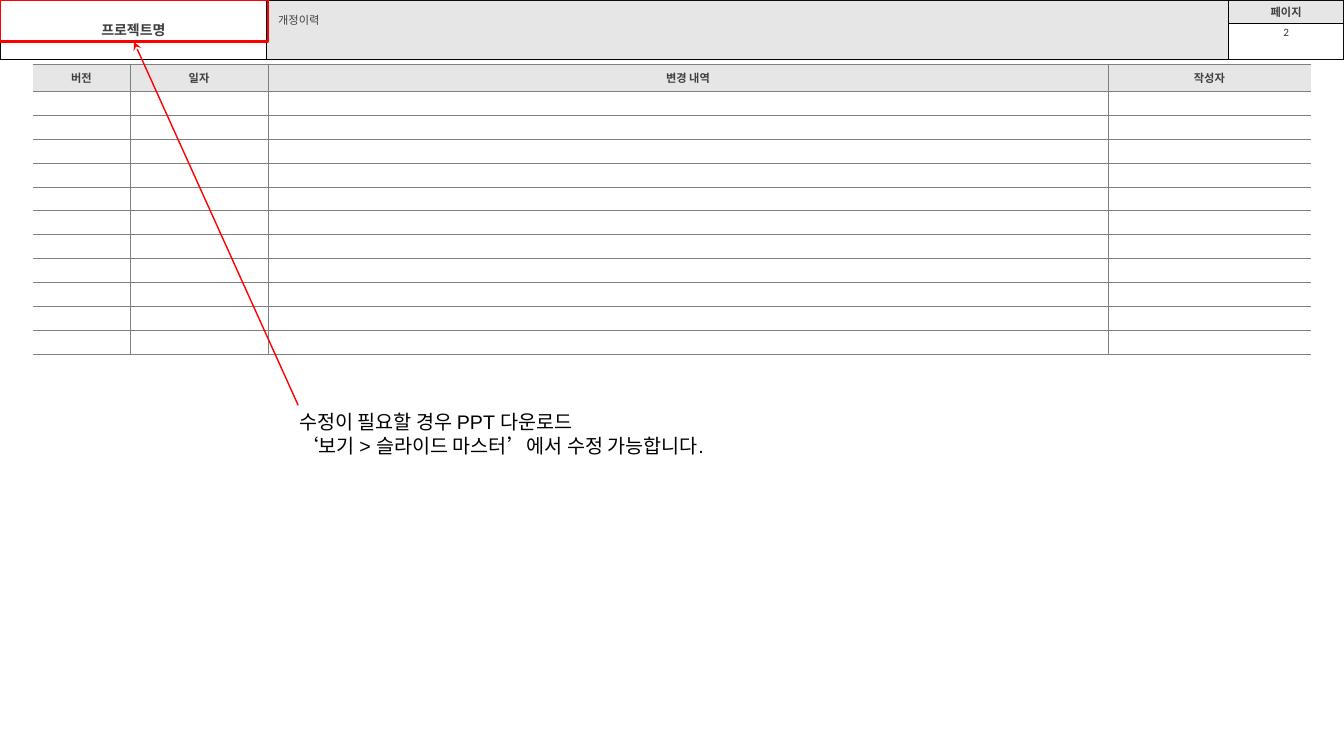
from lxml.etree import SubElement
from pptx import Presentation
from pptx.dml.color import RGBColor
from pptx.enum.shapes import MSO_CONNECTOR, MSO_SHAPE
from pptx.enum.text import MSO_ANCHOR, PP_ALIGN
from pptx.oxml import parse_xml
from pptx.oxml.ns import nsdecls, qn
from pptx.util import Pt

GREY, WHITE, RED, INK = "E7E6E6", "FFFFFF", "FF0000", "3F3F3F"


def color(code):
    return RGBColor.from_string(code)


def write(frame, text, size=8, font="Calibri", ink=INK, bold=False,
          align=PP_ALIGN.CENTER, anchor=MSO_ANCHOR.MIDDLE, space=None):
    frame.word_wrap = True
    frame.vertical_anchor = anchor
    frame.text = text
    for para in frame.paragraphs:
        para.alignment = align
        if space:
            para.line_spacing = space
        for run in para.runs:
            run.font.size, run.font.name = Pt(size), font
            run.font.bold = bold
            run.font.color.rgb = color(ink)


def border(cell, **sides):
    """Set L, R, T and B as (colour, width), or None for no line."""
    props = cell._tc.get_or_add_tcPr()
    for spot, side in enumerate("LRTB"):
        line = sides[side]
        width = Pt(line[1]) if line else 0
        fill = (f'<a:solidFill><a:srgbClr val="{line[0]}"/></a:solidFill>'
                if line else "<a:noFill/>")
        props.insert(spot, parse_xml(
            f'<a:ln{side} {nsdecls("a")} w="{width}">{fill}</a:ln{side}>'))


def grid(slide, box, cols, rows, edge, inner, ends):
    """Add a plain table: edge on top and bottom, ends left and right."""
    left, top = box
    table = slide.shapes.add_table(
        len(rows), len(cols), Pt(left), Pt(top),
        Pt(sum(cols)), Pt(sum(rows))).table
    table.first_row = table.horz_banding = False
    for col, width in zip(table.columns, cols):
        col.width = Pt(width)
    for row, height in zip(table.rows, rows):
        row.height = Pt(height)
    for r in range(len(rows)):
        for c in range(len(cols)):
            cell = table.cell(r, c)
            cell.margin_top = cell.margin_bottom = Pt(2)
            cell.fill.solid()
            cell.fill.fore_color.rgb = color(WHITE)
            border(cell, L=inner if c else ends,
                   R=inner if c < len(cols) - 1 else ends,
                   T=inner if r else edge,
                   B=inner if r < len(rows) - 1 else edge)
            # Small type keeps empty rows low
            para = cell.text_frame.paragraphs[0]._p
            SubElement(para, qn("a:endParaRPr")).set("sz", "800")
    return table


def label(cell, text, fill=GREY, **form):
    cell.fill.solid()
    cell.fill.fore_color.rgb = color(fill)
    write(cell.text_frame, text, bold=True, **form)
    cell.vertical_anchor = MSO_ANCHOR.MIDDLE


def textbox(slide, box, text, **form):
    shape = slide.shapes.add_textbox(*map(Pt, box))
    write(shape.text_frame, text, **form)


def header(slide, left, top, width):
    name, page = 190.5, 82.5
    edge = ("0C0C0C", 1)
    table = grid(slide, (left, top), (name, width - name - page, page),
                 (16.7, 20), edge, ("000000", 0.75), edge)
    for c in (0, 1):
        table.cell(0, c).merge(table.cell(1, c))
    label(table.cell(0, 0), "프로젝트명", fill=WHITE, size=10)
    label(table.cell(0, 1), "")
    label(table.cell(0, 2), "페이지")
    textbox(slide, (left + width - page, top + 16, page, 14.4), "2")

    # The title lies above the header table
    title = slide.shapes.title
    title.left, title.top = Pt(left + 191.5), Pt(top)
    title.width, title.height = Pt(619), Pt(30)
    write(title.text_frame, "개정이력", align=PP_ALIGN.LEFT, space=0.9)
    title.element.getparent().append(title.element)


def history(slide, left, top):
    line = ("7F7F7F", 0.75)
    table = grid(slide, (left, top), (69.5, 98.5, 600, 145),
                 [19.3] + [17.07] * 11, line, line, None)
    for c, text in enumerate(("버전", "일자", "변경 내역", "작성자")):
        label(table.cell(0, c), text)


def callout(slide, left, top):
    width, height = 191.5, 30
    frame = slide.shapes.add_shape(
        MSO_SHAPE.RECTANGLE, Pt(left), Pt(top), Pt(width), Pt(height))
    frame.shadow.inherit = False
    frame.fill.background()
    frame.line.color.rgb = color(RED)
    frame.line.width = Pt(2)

    # Arrow from the note up to the project name
    arrow = slide.shapes.add_connector(
        MSO_CONNECTOR.STRAIGHT, Pt(left + width / 2), Pt(top + height),
        Pt(left + 213), Pt(top + 289.5))
    arrow.line.color.rgb = color(RED)
    arrow.line.width = Pt(1)
    SubElement(arrow.line._get_or_add_ln(), qn("a:headEnd")).set(
        "type", "stealth")
    SubElement(arrow.element.spPr, qn("a:effectLst"))

    textbox(slide, (left + 206.5, top + 289.5, 311, 41),
            "수정이 필요할 경우 PPT 다운로드\n"
            "‘보기 > 슬라이드 마스터’에서 수정 가능합니다.",
            size=14, font="Arial", ink="000000",
            align=PP_ALIGN.LEFT, anchor=MSO_ANCHOR.TOP)


deck = Presentation()
deck.slide_width, deck.slide_height = Pt(960), Pt(540)
slide = deck.slides.add_slide(deck.slide_layouts[5])
header(slide, 0, 0, 960)
history(slide, 23.5, 46)
callout(slide, 0, 0)
deck.save("out.pptx")
